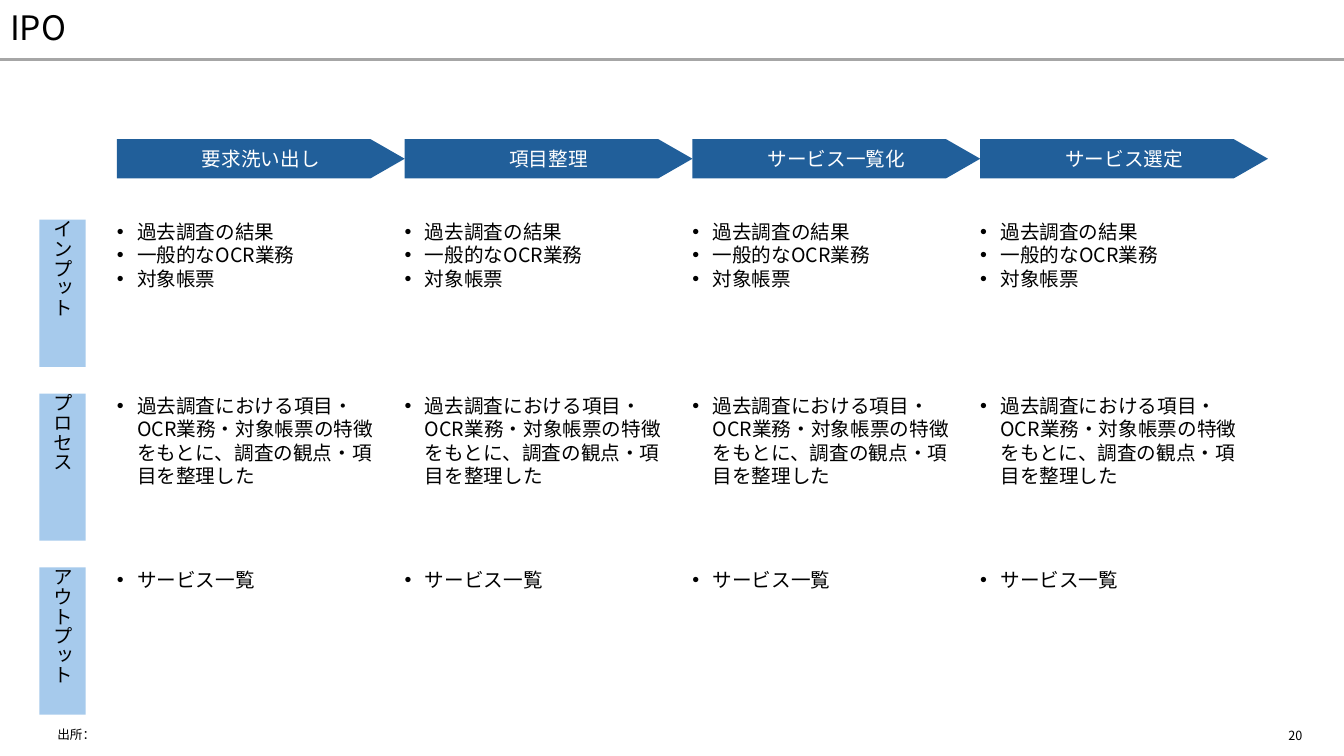
from pptx import Presentation
from pptx import util as u
from pptx.dml.color import RGBColor
from pptx.enum import shapes, text
from pptx.oxml.ns import qn
from lxml import etree

FONT = "Noto Sans CJK JP"
COLORS = {"step": "215F9A", "label": "A6CAEC", "rule": "A6A6A6",
          "dark": "000000", "light": "FFFFFF"}
STEPS = ["要求洗い出し", "項目整理", "サービス一覧化", "サービス選定"]
ROWS = [
    ("インプット", 0.71, ["過去調査の結果", "一般的なOCR業務", "対象帳票"]),
    ("プロセス", 0.94,
     ["過去調査における項目・OCR業務・対象帳票の特徴をもとに、調査の観点・項目を整理した"]),
    ("アウトプット", 0.24, ["サービス一覧"]),
]
COL_LEFT, COL_STEP = 1.16, 2.854
ROW_TOP, ROW_STEP = 2.18, 1.725
STEP_TOP, STEP_H, TIP = 1.38, 0.39, 0.34


def rgb(name):
    return RGBColor.from_string(COLORS[name])


def format_text(tf, size, color="dark", align=text.PP_ALIGN.LEFT):
    for p in tf.paragraphs:
        p.alignment = align
        for r in p.runs:
            r.font.size = u.Pt(size)
            r.font.name = FONT
            r.font.color.rgb = rgb(color)
            etree.SubElement(r.font._element, qn("a:ea"), typeface=FONT)


def clear_margins(tf):
    tf.margin_left = tf.margin_right = tf.margin_top = tf.margin_bottom = 0


def fill_shape(sp, color):
    sp.shadow.inherit = False
    sp.fill.solid()
    sp.fill.fore_color.rgb = rgb(color)
    sp.line.fill.background()


def add_title(s, title):
    sp = s.shapes.title
    sp.left, sp.top = u.Inches(0), u.Inches(0)
    sp.width, sp.height = u.Inches(13.33), u.Inches(0.59)
    tf = sp.text_frame
    tf.text = title
    tf.vertical_anchor = text.MSO_ANCHOR.MIDDLE
    tf.paragraphs[0].line_spacing = 0.9
    format_text(tf, 24)


def add_rule(s):
    line = s.shapes.add_connector(shapes.MSO_CONNECTOR.STRAIGHT, u.Inches(0),
                                  u.Inches(0.59), u.Inches(13.33), u.Inches(0.59))
    line.line.color.rgb = rgb("rule")
    line.line.width = u.Pt(2.25)
    etree.SubElement(line._element.spPr, qn("a:effectLst"))


def add_text(s, left, top, width, height, lines):
    sp = s.shapes.add_textbox(u.Inches(left), u.Inches(top),
                              u.Inches(width), u.Inches(height))
    tf = sp.text_frame
    tf.word_wrap = True
    tf.text = "\n".join(lines)
    return tf


def add_footer(s, left, width, line, anchor):
    tf = add_text(s, left, 7.17, width, 0.24, [line])
    tf.vertical_anchor = anchor
    format_text(tf, 9)


def add_step(s, left, name):
    right, bottom = left + COL_STEP, STEP_TOP + STEP_H
    outline = [(right - TIP, STEP_TOP), (right, STEP_TOP + STEP_H / 2),
               (right - TIP, bottom), (left, bottom)]
    fb = s.shapes.build_freeform(u.Inches(left), u.Inches(STEP_TOP))
    fb.add_line_segments([(u.Inches(x), u.Inches(y)) for x, y in outline], close=True)
    sp = fb.convert_to_shape()
    fill_shape(sp, "step")
    tf = sp.text_frame
    tf.text = name
    tf.word_wrap = True
    tf.vertical_anchor = text.MSO_ANCHOR.MIDDLE
    clear_margins(tf)
    format_text(tf, 14, "light", text.PP_ALIGN.CENTER)


def add_row_label(s, top, name):
    sp = s.shapes.add_shape(shapes.MSO_SHAPE.RECTANGLE, u.Inches(0.39),
                            u.Inches(top), u.Inches(0.46), u.Inches(1.46))
    fill_shape(sp, "label")
    tf = sp.text_frame
    tf.text = name
    tf.vertical_anchor = text.MSO_ANCHOR.MIDDLE
    clear_margins(tf)
    tf._txBody.bodyPr.set("vert", "eaVert")
    format_text(tf, 14, align=text.PP_ALIGN.CENTER)


def add_bullets(s, left, top, height, items):
    tf = add_text(s, left, top, 2.62, height, items)
    tf.auto_size = text.MSO_AUTO_SIZE.SHAPE_TO_FIT_TEXT
    clear_margins(tf)
    for p in tf.paragraphs:
        pPr = p._p.get_or_add_pPr()
        pPr.set("marL", str(u.Inches(0.2)))
        pPr.set("indent", str(u.Inches(-0.2)))
        etree.SubElement(pPr, qn("a:buFont"), typeface="Arial")
        etree.SubElement(pPr, qn("a:buChar"), char="•")
    format_text(tf, 14)


def main():
    prs = Presentation()
    prs.slide_width, prs.slide_height = u.Inches(13.33), u.Inches(7.5)
    s = prs.slides.add_slide(prs.slide_layouts[5])
    add_rule(s)
    add_title(s, "IPO")
    add_footer(s, 0.47, 11.02, "出所：", text.MSO_ANCHOR.MIDDLE)
    add_footer(s, 12.68, 0.59, "20", text.MSO_ANCHOR.TOP)
    tops = [ROW_TOP + i * ROW_STEP for i in range(len(ROWS))]
    for top, (name, _, _) in zip(tops, ROWS):
        add_row_label(s, top, name)
    for i, step in enumerate(STEPS):
        left = COL_LEFT + i * COL_STEP
        add_step(s, left, step)
        for top, (_, height, items) in zip(tops, ROWS):
            add_bullets(s, left, top, height, items)
    prs.save("out.pptx")


if __name__ == "__main__":
    main()
